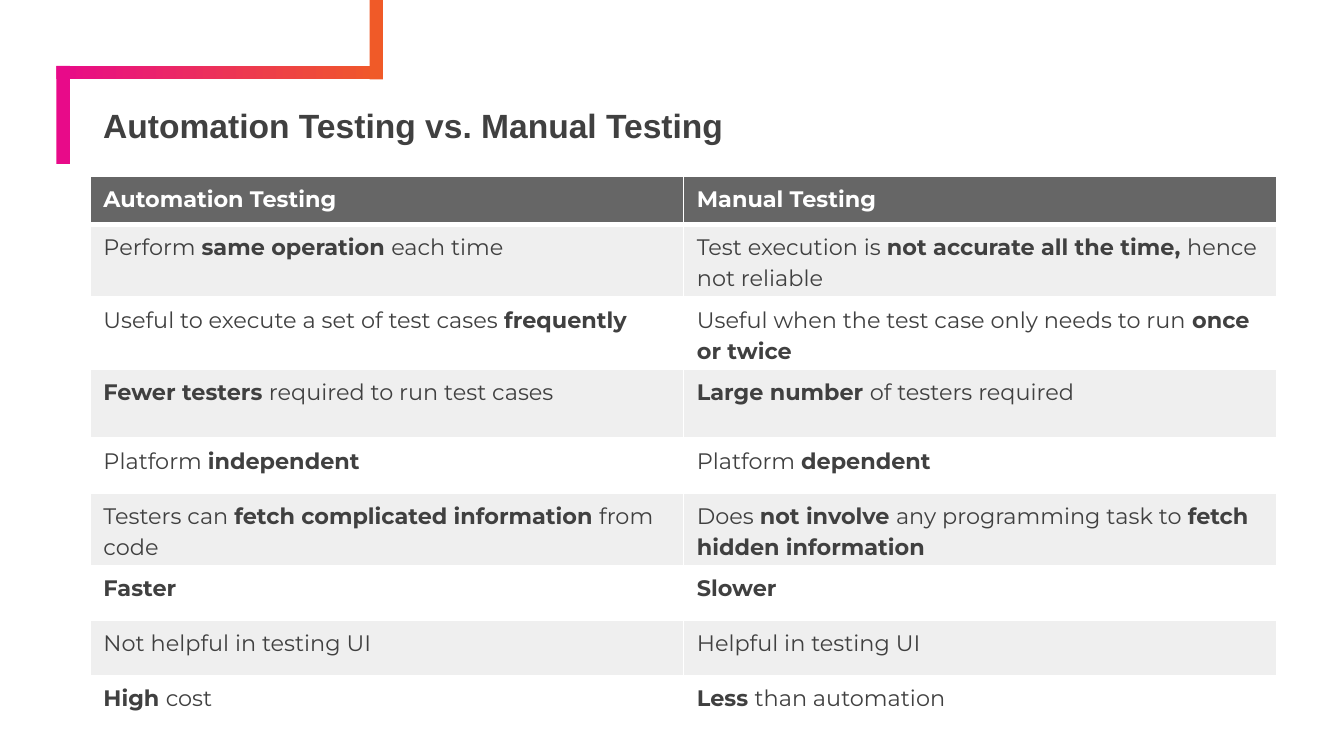
from lxml import etree
from pptx import Presentation
from pptx.dml.color import RGBColor
from pptx.enum.shapes import MSO_SHAPE
from pptx.enum.text import MSO_ANCHOR
from pptx.oxml.ns import qn
from pptx.util import Inches, Pt

RECTANGLE = MSO_SHAPE.RECTANGLE
MIDDLE = MSO_ANCHOR.MIDDLE

PINK, ORANGE = "E80A89", "F05A28"
INK, WHITE = "404040", "FFFFFF"
HEADER_FILL, BAND_FILL = "666666", "EFEFEF"

COMPARISON = [
    ("*Automation Testing*", "*Manual Testing*", 0.36),
    ("Perform *same operation *each time",
     "Test execution is *not accurate all the time, *hence not reliable", 0.51),
    ("Useful to execute a set of test cases *frequently*",
     "Useful when the test case only needs to run *once or twice*", 0.51),
    ("*Fewer testers *required to run test cases",
     "*Large number *of testers required", 0.51),
    ("Platform *independent*", "Platform *dependent*", 0.41),
    ("Testers can *fetch complicated information *from code",
     "Does *not involve *any programming task to *fetch hidden information*", 0.51),
    ("*Faster*", "*Slower*", 0.41),
    ("Not helpful in testing UI", "Helpful in testing UI", 0.41),
    ("*High *cost", "*Less *than automation", 0.41),
]


def rgb(value):
    return RGBColor.from_string(value)


def write(frame, text, font="Montserrat", size=12, color=INK, spacing=1.15):
    """Fill the frame's first paragraph, setting text between asterisks in bold."""
    paragraph = frame.paragraphs[0]
    paragraph.line_spacing = spacing
    for index, part in enumerate(text.split("*")):
        if part:
            run = paragraph.add_run()
            run.text = part
            run.font.name = font
            run.font.size = Pt(size)
            run.font.bold = index % 2 == 1
            run.font.color.rgb = rgb(color)


class SlideBuilder:
    """Draws styled elements on the current slide."""

    def __init__(self, slide):
        self.slide = slide

    def bar(self, left, top, width, height, *colors):
        bar = self.slide.shapes.add_shape(
            RECTANGLE, Inches(left), Inches(top), Inches(width), Inches(height))
        bar.shadow.inherit = False
        bar.line.fill.background()
        if len(colors) == 1:
            bar.fill.solid()
            bar.fill.fore_color.rgb = rgb(colors[0])
        else:
            bar.fill.gradient()
            bar.fill.gradient_angle = 0
            for stop, color in zip(bar.fill.gradient_stops, colors):
                stop.color.rgb = rgb(color)

    def title(self, text, left, top, width, height):
        frame = self.slide.shapes.add_textbox(
            Inches(left), Inches(top), Inches(width), Inches(height)).text_frame
        frame.word_wrap = True
        frame.vertical_anchor = MIDDLE
        write(frame, text, font="Arial", size=18, spacing=0.9)

    def borders(self, cell, **widths):
        properties = cell._tc.get_or_add_tcPr()
        for position, side in enumerate("LRTB"):
            line = etree.Element(qn(f"a:ln{side}"), w=str(Pt(widths.get(side, 1))))
            fill = etree.SubElement(line, qn("a:solidFill"))
            etree.SubElement(fill, qn("a:srgbClr"), val=WHITE)
            properties.insert(position, line)

    def table(self, rows, left, top, width):
        height = sum(row[-1] for row in rows)
        table = self.slide.shapes.add_table(
            len(rows), 2, Inches(left), Inches(top), Inches(width), Inches(height)).table
        for row_index, (*texts, row_height) in enumerate(rows):
            table.rows[row_index].height = Inches(row_height)
            header = row_index == 0
            band = BAND_FILL if row_index % 2 else WHITE
            for column_index, text in enumerate(texts):
                cell = table.cell(row_index, column_index)
                cell.margin_left = cell.margin_right = Inches(0.1)
                cell.margin_top = cell.margin_bottom = Inches(0.04)
                cell.fill.solid()
                cell.fill.fore_color.rgb = rgb(HEADER_FILL if header else band)
                self.borders(cell, T=3 if row_index == 1 else 1, B=3 if header else 1)
                write(cell.text_frame, text, color=WHITE if header else INK)


def main():
    presentation = Presentation()
    presentation.slide_width = Inches(10)
    presentation.slide_height = Inches(10) * 9 // 16
    builder = SlideBuilder(presentation.slides.add_slide(presentation.slide_layouts[6]))
    builder.bar(0.42, 0.49, 2.43, 0.1, PINK, ORANGE)
    builder.bar(0.42, 0.49, 0.1, 0.73, PINK)
    builder.bar(2.75, 0, 0.1, 0.59, ORANGE)
    builder.title("*Automation Testing vs. Manual Testing*", 0.67, 0.78, 9.03, 0.34)
    builder.table(COMPARISON, 0.67, 1.31, 8.83)
    presentation.save("out.pptx")


if __name__ == "__main__":
    main()
